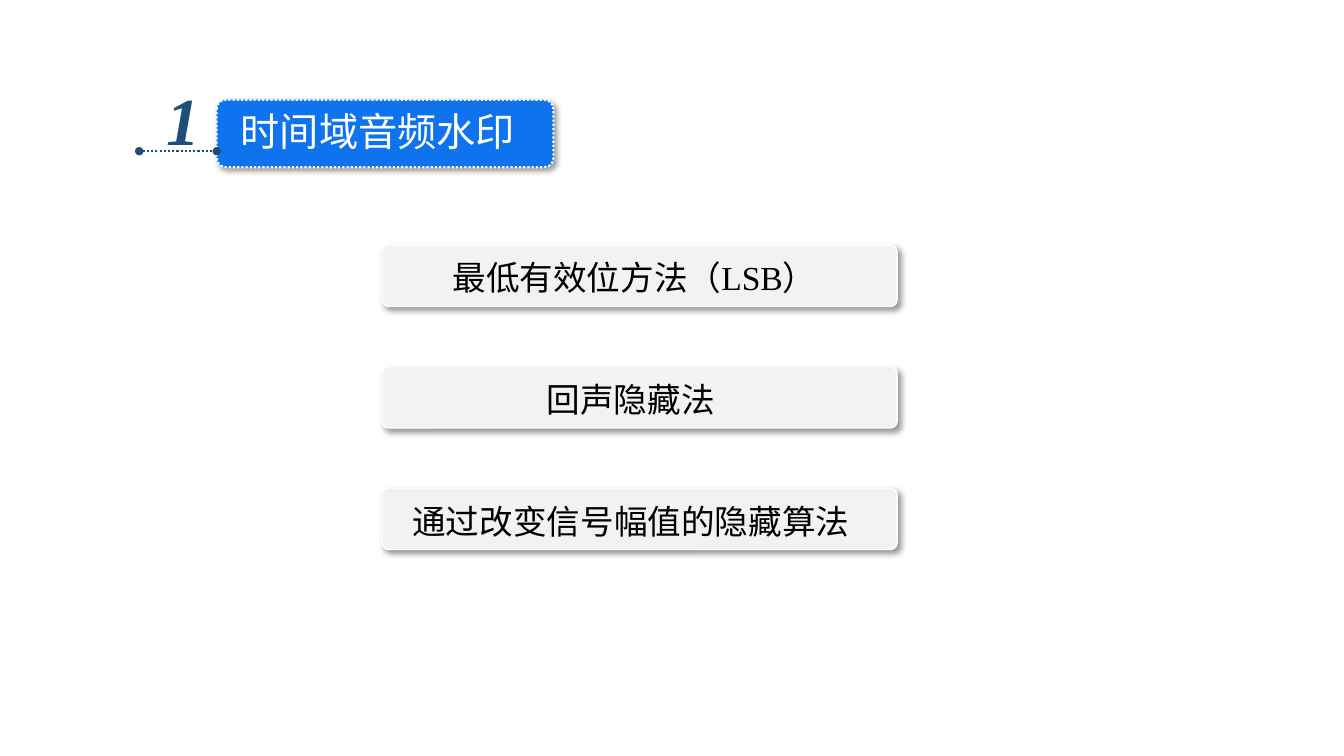
from dataclasses import dataclass
from typing import Optional

from lxml import etree
from pptx import Presentation
from pptx.dml.color import RGBColor
from pptx.enum import dml, shapes, text
from pptx.oxml import ns
from pptx.util import Pt

WHITE = RGBColor(0xFF, 0xFF, 0xFF)
BLACK = RGBColor(0x00, 0x00, 0x00)
BLUE = RGBColor(0x0F, 0x73, 0xEE)
NAVY = RGBColor(0x1F, 0x4E, 0x79)
GREY = RGBColor(0xF2, 0xF2, 0xF2)
SERIF = "Times New Roman"
SANS = "Noto Sans CJK SC"
DOTTED = dml.MSO_LINE.ROUND_DOT


@dataclass
class Panel:
    left: float
    top: float
    width: float
    height: float
    radius: float
    fill: RGBColor
    line_width: float
    dash: Optional[dml.MSO_LINE] = None


@dataclass
class Label:
    words: str
    left: float
    top: float
    width: float
    height: float
    font: dict
    paragraph: dict
    wrap: bool = False


def add_child(parent, tag: str, **attributes: str):
    return etree.SubElement(parent, ns.qn(tag), attributes)


def add_shadow(sp) -> None:
    """Cast a soft shadow towards the lower right."""
    effects = add_child(sp._element.spPr, "a:effectLst")
    shadow = add_child(effects, "a:outerShdw", blurRad=str(Pt(4)), dist=str(Pt(3)),
                       dir="2700000", algn="tl", rotWithShape="0")
    color = add_child(shadow, "a:srgbClr", val=str(BLACK))
    add_child(color, "a:alpha", val="40000")


def add_panel(s, panel: Panel):
    sp = s.shapes.add_shape(shapes.MSO_SHAPE.ROUNDED_RECTANGLE, Pt(panel.left),
                            Pt(panel.top), Pt(panel.width), Pt(panel.height))
    sp.adjustments[0] = panel.radius
    sp.fill.solid()
    sp.fill.fore_color.rgb = panel.fill
    sp.line.color.rgb = WHITE
    sp.line.width = Pt(panel.line_width)
    if panel.dash:
        sp.line.dash_style = panel.dash
    add_shadow(sp)
    return sp


def add_label(s, label: Label):
    tb = s.shapes.add_textbox(Pt(label.left), Pt(label.top),
                              Pt(label.width), Pt(label.height))
    tf = tb.text_frame
    tf.word_wrap = label.wrap
    tf.auto_size = text.MSO_AUTO_SIZE.SHAPE_TO_FIT_TEXT
    p = tf.paragraphs[0]
    for name, value in label.paragraph.items():
        setattr(p, name, value)
    r = p.add_run()
    r.text = label.words
    for name, value in label.font.items():
        if name == "color":
            r.font.color.rgb = value
        else:
            setattr(r.font, name, value)
    add_child(r.font._element, "a:ea", typeface=SANS)
    return tb


def add_dotted_link(s, x1: float, x2: float, y: float):
    """Draw a level dotted line with a round dot at each end."""
    link = s.shapes.add_connector(shapes.MSO_CONNECTOR.STRAIGHT,
                                  Pt(x1), Pt(y), Pt(x2), Pt(y))
    link.line.color.rgb = NAVY
    link.line.width = Pt(1.5)
    link.line.dash_style = DOTTED
    ln = link.line._get_or_add_ln()
    for end in ("a:headEnd", "a:tailEnd"):
        add_child(ln, end, type="oval")
    add_child(link._element.spPr, "a:effectLst")
    return link


TITLE_PANEL = Panel(154.8, 71.3, 240.5, 48.2, 0.137, BLUE, 1.5, DOTTED)
HEADINGS = [
    Label("时间域音频水印", 164.9, 77, 212.4, 38.2,
          {"size": Pt(28), "name": SANS, "color": WHITE}, {"line_spacing": 0.9}),
    Label("1", 111.6, 52.6, 38.9, 65.5,
          {"size": Pt(48), "name": SERIF, "color": NAVY, "bold": True, "italic": True}, {}),
]
METHODS = ["最低有效位方法（LSB）", "回声隐藏法 ", "通过改变信号幅值的隐藏算法 "]
METHOD_LEFT, METHOD_TOP, METHOD_PITCH = 272.9, 175, 86.8
METHOD_FONT = {"size": Pt(24), "name": SERIF, "color": BLACK}
CENTRED = {"alignment": text.PP_ALIGN.CENTER}


def main() -> None:
    prs = Presentation()
    prs.slide_width, prs.slide_height = Pt(960), Pt(540)
    s = prs.slides.add_slide(prs.slide_layouts[6])

    add_panel(s, TITLE_PANEL)
    for heading in HEADINGS:
        add_label(s, heading)
    add_dotted_link(s, 99.4, TITLE_PANEL.left, 108)

    for i, method in enumerate(METHODS):
        top = METHOD_TOP + i * METHOD_PITCH
        add_panel(s, Panel(METHOD_LEFT, top, 367.9, 43.9, 0.108, GREY, 1))
        add_label(s, Label(method, METHOD_LEFT, top + 5.3, 360.7, 36,
                           METHOD_FONT, CENTRED, wrap=True))

    prs.save("out.pptx")


if __name__ == "__main__":
    main()
